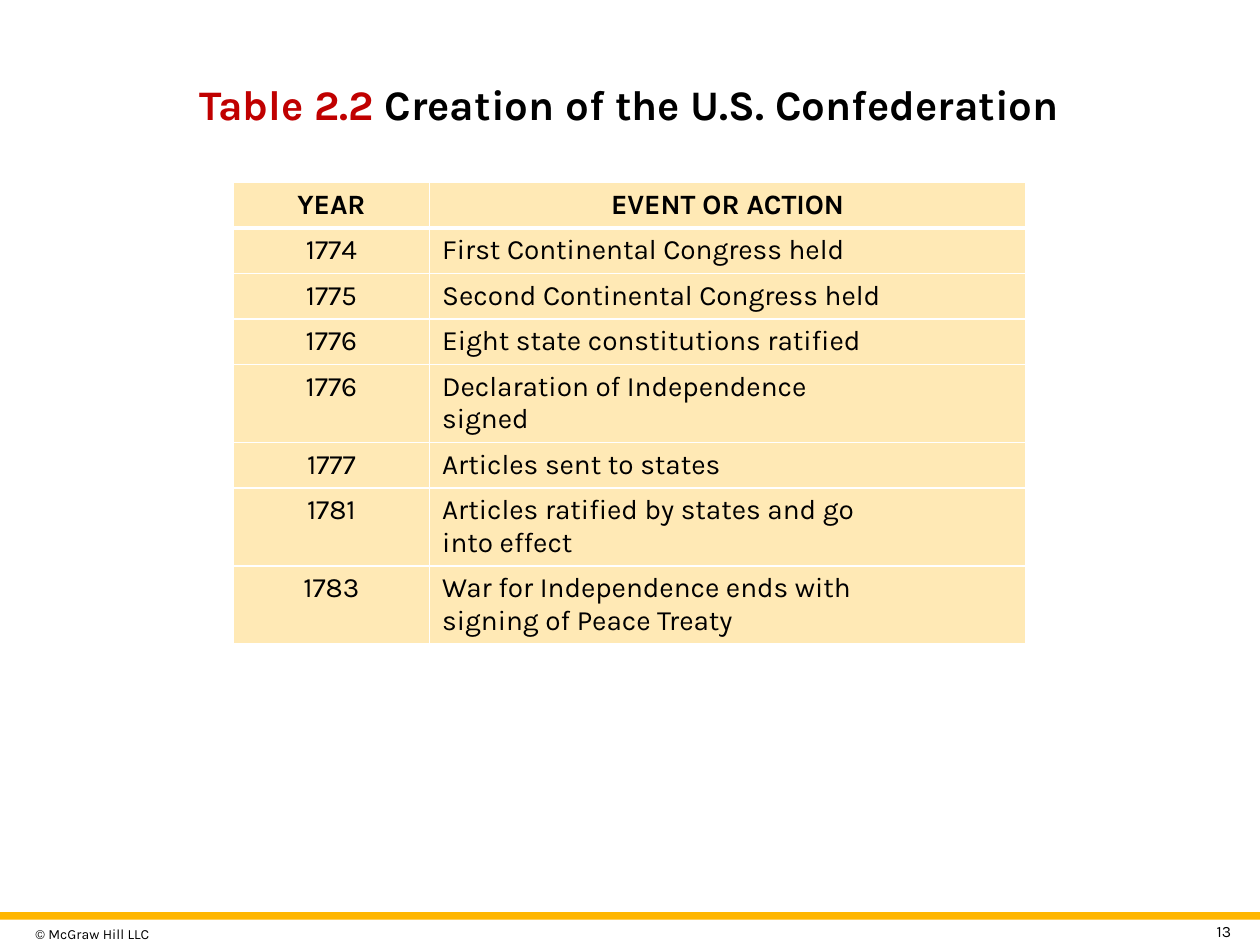
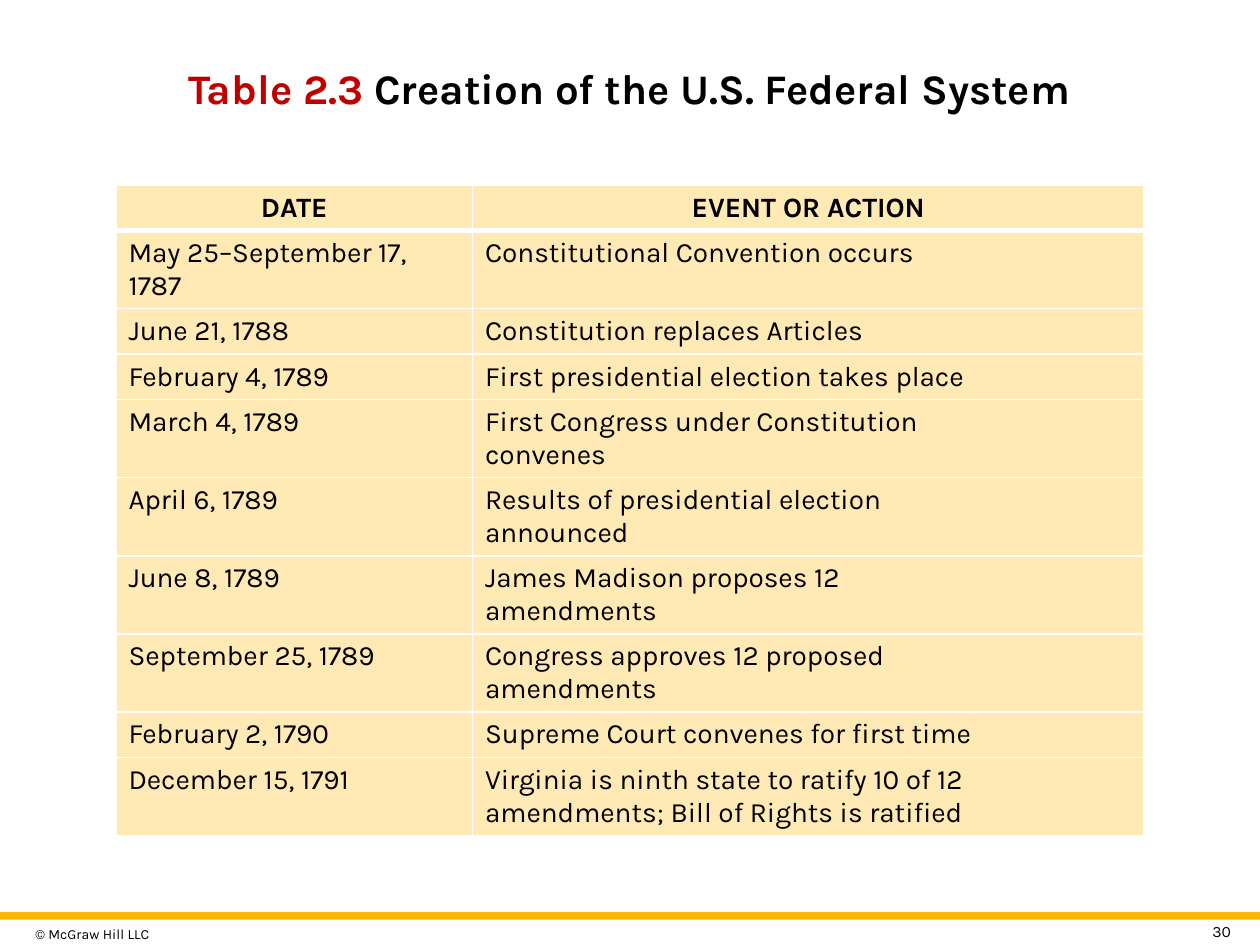
import pptx
import pptx.util
import pptx.dml.color
import pptx.enum.shapes
import pptx.enum.text
import pptx.oxml
import pptx.oxml.ns

Inches, Pt = pptx.util.Inches, pptx.util.Pt
ALIGN = pptx.enum.text.PP_ALIGN
MIDDLE = pptx.enum.text.MSO_ANCHOR.MIDDLE

# Content
COPYRIGHT = "© McGraw Hill LLC"
SLIDES = [
    {
        "number": "13",
        "title": ("Table 2.2 ", "Creation of the U.S. Confederation"),
        "title_height": 1.2,
        "table_at": (1.85, 1.45),
        "columns": (1.56, 4.73),
        "first_column": ALIGN.CENTER,
        "rows": [
            ("YEAR", "EVENT OR ACTION"),
            ("1774", "First Continental Congress held"),
            ("1775", "Second Continental Congress held"),
            ("1776", "Eight state constitutions ratified"),
            ("1776", "Declaration of Independence signed"),
            ("1777", "Articles sent to states"),
            ("1781", "Articles ratified by states and go into effect"),
            ("1783", "War for Independence ends with signing of Peace Treaty"),
        ],
    },
    {
        "number": "30",
        "title": ("Table 2.3 ", "Creation of the U.S. Federal System"),
        "title_height": 0.95,
        "table_at": (0.92, 1.47),
        "columns": (2.83, 5.33),
        "first_column": ALIGN.LEFT,
        "rows": [
            ("DATE", "EVENT OR ACTION"),
            ("May 25–September 17, 1787", "Constitutional Convention occurs"),
            ("June 21, 1788", "Constitution replaces Articles"),
            ("February 4, 1789", "First presidential election takes place"),
            ("March 4, 1789", "First Congress under Constitution convenes"),
            ("April 6, 1789", "Results of presidential election announced"),
            ("June 8, 1789", "James Madison proposes 12 amendments"),
            ("September 25, 1789", "Congress approves 12 proposed amendments"),
            ("February 2, 1790", "Supreme Court convenes for first time"),
            ("December 15, 1791", "Virginia is ninth state to ratify 10 of 12 amendments; "
                                  "Bill of Rights is ratified"),
        ],
    },
]

# Shared style
COLORS = {"text": "000000", "label": "C00000", "band": "FFB600",
          "cell": "FFE9B5", "border": "FFFFFF"}
TITLE = {"size": Pt(24), "bold": True}
HEADER = {"size": Pt(16), "bold": True}
BODY = {"size": Pt(16), "bold": False}
ROW_HEIGHT = 0.29
THIN, THICK = 1, 3


def rgb(name):
    return pptx.dml.color.RGBColor.from_string(COLORS[name])


def set_all(obj, values):
    for name, value in values.items():
        setattr(obj, name, value)


def add_run(p, text, style, color="text"):
    r = p.add_run()
    r.text = text
    set_all(r.font, {"name": "Karla", **style})
    r.font.color.rgb = rgb(color)


def add_title(s, parts, height):
    sp = s.shapes.title
    set_all(sp, {"left": Inches(0.37), "top": Inches(0.22),
                 "width": Inches(9.25), "height": Inches(height)})
    tf = sp.text_frame
    set_all(tf, {"vertical_anchor": MIDDLE, "word_wrap": True,
                 "auto_size": pptx.enum.text.MSO_AUTO_SIZE.NONE})
    p = tf.paragraphs[0]
    p.alignment = ALIGN.CENTER
    for text, color in zip(parts, ("label", "text")):
        add_run(p, text, TITLE, color)


def add_small_text(s, box, text, size, align, side_margin):
    tf = s.shapes.add_textbox(*map(Inches, box)).text_frame
    set_all(tf, {"word_wrap": True, "vertical_anchor": MIDDLE,
                 "margin_left": Inches(side_margin), "margin_right": Inches(side_margin),
                 "margin_top": Inches(0.05), "margin_bottom": Inches(0.05)})
    p = tf.paragraphs[0]
    p.alignment = align
    add_run(p, text, {"size": Pt(size)})


def add_footer(s, number):
    add_small_text(s, (0.24, 7.29, 1.35, 0.24), COPYRIGHT, 8, ALIGN.LEFT, 0.04)
    band = s.shapes.add_shape(pptx.enum.shapes.MSO_SHAPE.RECTANGLE,
                              0, Inches(7.24), Inches(10), Inches(0.06))
    band.shadow.inherit = False
    band.fill.solid()
    band.fill.fore_color.rgb = rgb("band")
    band.line.fill.background()
    add_small_text(s, (9.43, 7.3, 0.39, 0.18), number, 9, ALIGN.RIGHT, 0.05)


def set_borders(cell, widths):
    tcPr = cell._tc.get_or_add_tcPr()
    for side, width in widths.items():
        tcPr.append(pptx.oxml.parse_xml(
            f'<a:ln{side} {pptx.oxml.ns.nsdecls("a")} w="{Pt(width)}"><a:solidFill>'
            f'<a:srgbClr val="{COLORS["border"]}"/></a:solidFill></a:ln{side}>'))


def add_events_table(s, at, columns, rows, first_column):
    size = (sum(columns), ROW_HEIGHT * len(rows))
    table = s.shapes.add_table(len(rows), len(columns), *map(Inches, at + size)).table
    table.horz_banding = False
    for col, width in zip(table.columns, columns):
        col.width = Inches(width)
    for i, row in enumerate(rows):
        table.rows[i].height = Inches(ROW_HEIGHT)
        for j, text in enumerate(row):
            cell = table.cell(i, j)
            # The rule under the header is thicker than the others
            set_borders(cell, {"L": THIN, "R": THIN,
                               "T": THICK if i == 1 else THIN,
                               "B": THICK if i == 0 else THIN})
            cell.fill.solid()
            cell.fill.fore_color.rgb = rgb("cell")
            if i and j:
                cell.margin_right = Inches(1)
            p = cell.text_frame.paragraphs[0]
            p.alignment = ALIGN.CENTER if i == 0 else (first_column, ALIGN.LEFT)[j]
            add_run(p, text, BODY if i else HEADER)


def main():
    prs = pptx.Presentation()
    prs.slide_width, prs.slide_height = Inches(10), Inches(7.5)
    title_only = prs.slide_layouts[5]
    for page in SLIDES:
        s = prs.slides.add_slide(title_only)
        add_title(s, page["title"], page["title_height"])
        add_events_table(s, page["table_at"], page["columns"], page["rows"],
                         page["first_column"])
        add_footer(s, page["number"])
    prs.save("out.pptx")


if __name__ == "__main__":
    main()
